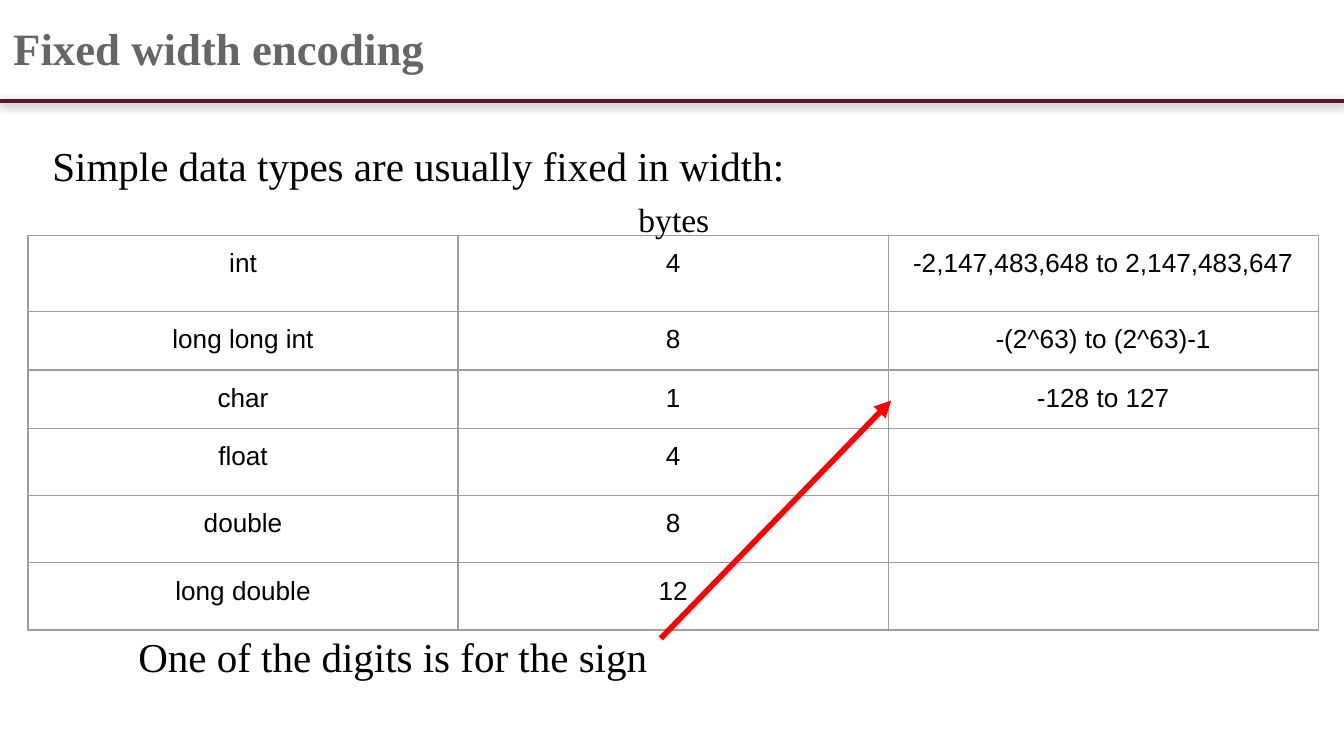
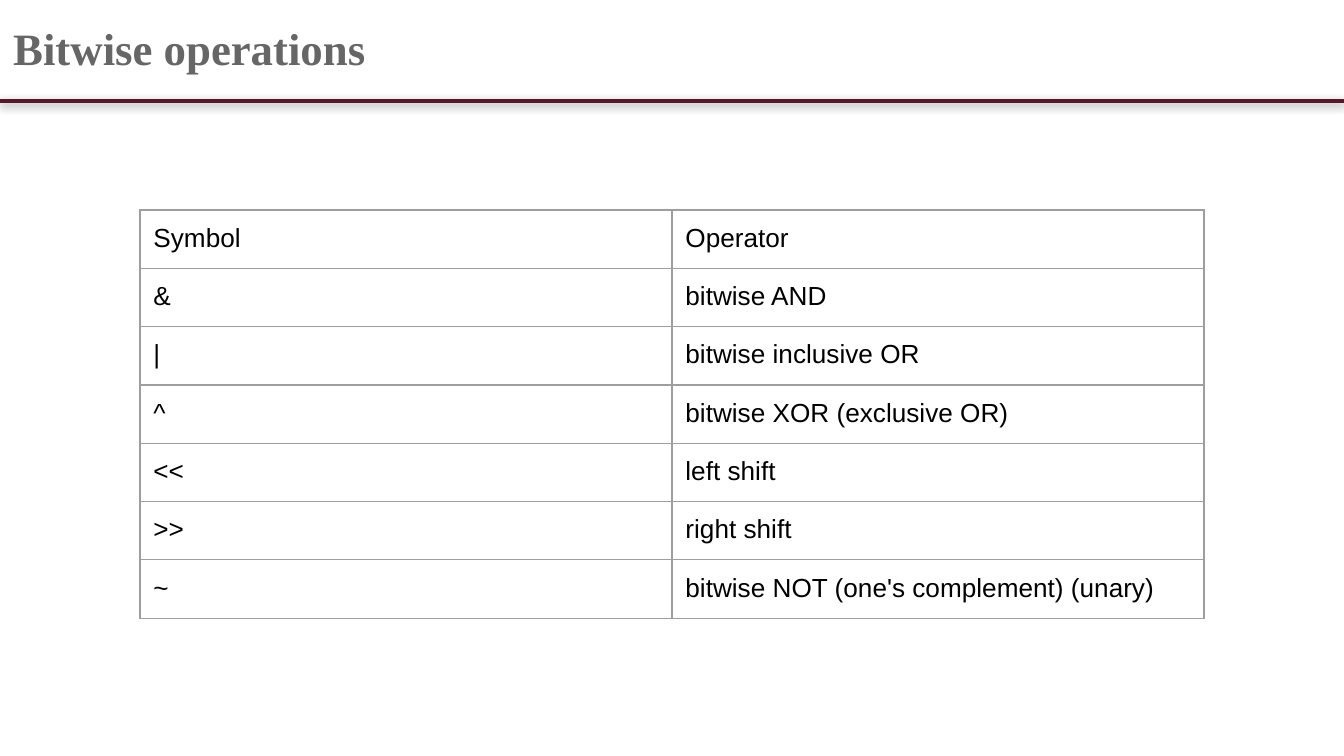
"""Build two slides on fixed width data types and bitwise operators."""
from lxml import etree
from pptx import Presentation
from pptx.dml.color import RGBColor
from pptx.enum import shapes, text
from pptx.oxml import ns
from pptx.util import Pt

COLORS = {"title": "666666", "rule": "591829", "body": "000000",
          "border": "9E9E9E", "arrow": "FF0000", "shadow": "000000"}
SERIF, SANS = "Times New Roman", "Arial"
WIDTH, HEIGHT = 720, 405
LEFT, CENTER = text.PP_ALIGN.LEFT, text.PP_ALIGN.CENTER

SLIDES = [
    {"title": "Fixed width encoding",
     "table": {"left": 15, "top": 126, "column": 230.4, "row": 28.8, "first": 41, "align": CENTER,
               "rows": [("int", "4", "-2,147,483,648 to 2,147,483,647"),
                        ("long long int", "8", "-(2^63) to (2^63)-1"),
                        ("char", "1", "-128 to 127"),
                        ("float", "4", ""),
                        ("double", "8", ""),
                        ("long double", "12", "")]},
     "arrows": [((354, 342), (477.5, 214.5))],
     "notes": [("Simple data types are usually fixed in width:", (21, 64, 678, 78), 22, LEFT),
               ("One of the digits is for the sign", (67, 327, 300, 78), 22, LEFT),
               ("bytes", (329.75, 96, 62.5, 36), 18, CENTER)]},
    {"title": "Bitwise operations",
     "table": {"left": 75, "top": 112.5, "column": 285, "row": 30, "first": 30, "align": LEFT,
               "rows": [("Symbol", "Operator"),
                        ("&", "bitwise AND"),
                        ("|", "bitwise inclusive OR"),
                        ("^", "bitwise XOR (exclusive OR)"),
                        ("<<", "left shift"),
                        (">>", "right shift"),
                        ("~", "bitwise NOT (one's complement) (unary)")]},
     "arrows": [], "notes": []},
]


def color(name):
    return RGBColor.from_string(COLORS[name])


def add_xml(parent, tag, **attributes):
    return etree.SubElement(parent, ns.qn(tag), attributes)


def add_color(parent, name):
    return add_xml(parent, "a:srgbClr", val=COLORS[name])


def style(para, font, size, shade, align=LEFT, bold=False):
    para.alignment = align
    para.font.name, para.font.size, para.font.bold = font, Pt(size), bold
    para.font.color.rgb = color(shade)


def add_text(page, words, place, inset):
    box = page.shapes.add_textbox(*map(Pt, place))
    frame = box.text_frame
    frame.word_wrap = True
    frame.margin_left = frame.margin_right = Pt(7.2)
    frame.margin_top = frame.margin_bottom = Pt(inset)
    frame.text = words
    return frame


def add_title(page, words):
    frame = add_text(page, words, (0, 6.5, 397.5, 36.7), 3.6)
    frame.vertical_anchor = text.MSO_ANCHOR.BOTTOM
    style(frame.paragraphs[0], SERIF, 24, "title", bold=True)


def add_note(page, words, place, size, align):
    frame = add_text(page, words, place, 7.2)
    frame.auto_size = text.MSO_AUTO_SIZE.SHAPE_TO_FIT_TEXT
    para = frame.paragraphs[0]
    para.line_spacing, para.space_before = 1.15, Pt(6)
    style(para, SERIF, size, "body", align)


def add_line(page, start, end, shade, weight):
    line = page.shapes.add_connector(shapes.MSO_CONNECTOR.STRAIGHT, *map(Pt, start + end))
    line.line.color.rgb, line.line.width = color(shade), Pt(weight)
    effects = add_xml(line._element.spPr, "a:effectLst")
    return line, effects


def add_rule(page):
    _, effects = add_line(page, (0, 54), (WIDTH, 54), "rule", 2)
    shadow = add_xml(effects, "a:outerShdw", blurRad=str(Pt(5)), dist=str(Pt(1.6)),
                     dir="5400000", rotWithShape="0")
    add_xml(add_color(shadow, "shadow"), "a:alpha", val="38000")


def add_arrow(page, start, end):
    arrow, _ = add_line(page, start, end, "arrow", 3)
    add_xml(arrow.line._get_or_add_ln(), "a:tailEnd", type="triangle")


def add_borders(cell):
    properties = cell._tc.get_or_add_tcPr()
    for side in ("a:lnL", "a:lnR", "a:lnT", "a:lnB"):
        border = add_xml(properties, side, w=str(Pt(0.75)))
        add_color(add_xml(border, "a:solidFill"), "border")


def add_table(page, left, top, column, row, first, align, rows):
    count, columns = len(rows), len(rows[0])
    height = first + row * (count - 1)
    table = page.shapes.add_table(count, columns, Pt(left), Pt(top),
                                  Pt(column * columns), Pt(height)).table
    table.first_row = table.horz_banding = False
    for index, words in enumerate(rows):
        table.rows[index].height = Pt(row if index else first)
        for cell, word in zip(table.rows[index].cells, words):
            cell.margin_left = cell.margin_right = Pt(7.2)
            cell.margin_top = cell.margin_bottom = Pt(7.2)
            add_borders(cell)
            cell.fill.background()
            if word:
                cell.text = word
                style(cell.text_frame.paragraphs[0], SANS, 14, "body", align)


def main():
    deck = Presentation()
    deck.slide_width, deck.slide_height = Pt(WIDTH), Pt(HEIGHT)
    for content in SLIDES:
        page = deck.slides.add_slide(deck.slide_layouts[6])
        add_title(page, content["title"])
        add_rule(page)
        add_table(page, **content["table"])
        for start, end in content["arrows"]:
            add_arrow(page, start, end)
        for note in content["notes"]:
            add_note(page, *note)
    deck.save("out.pptx")


if __name__ == "__main__":
    main()
